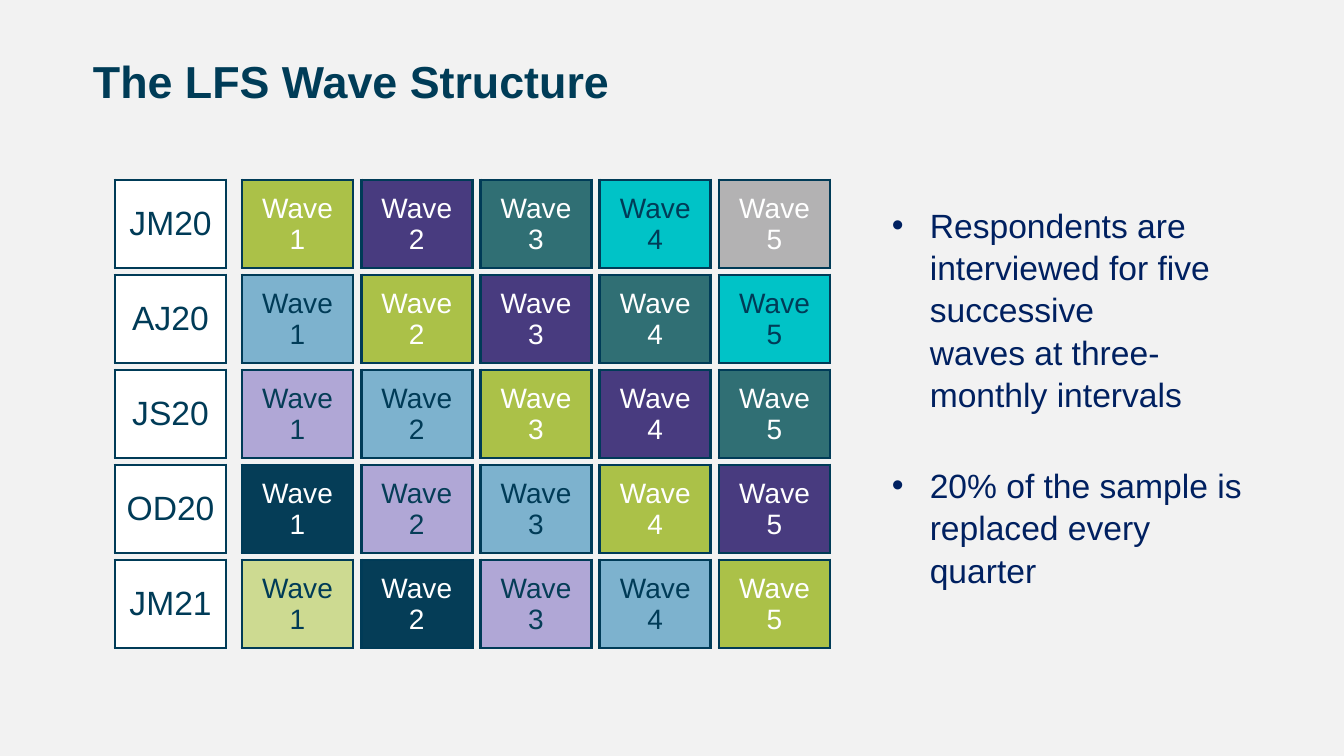
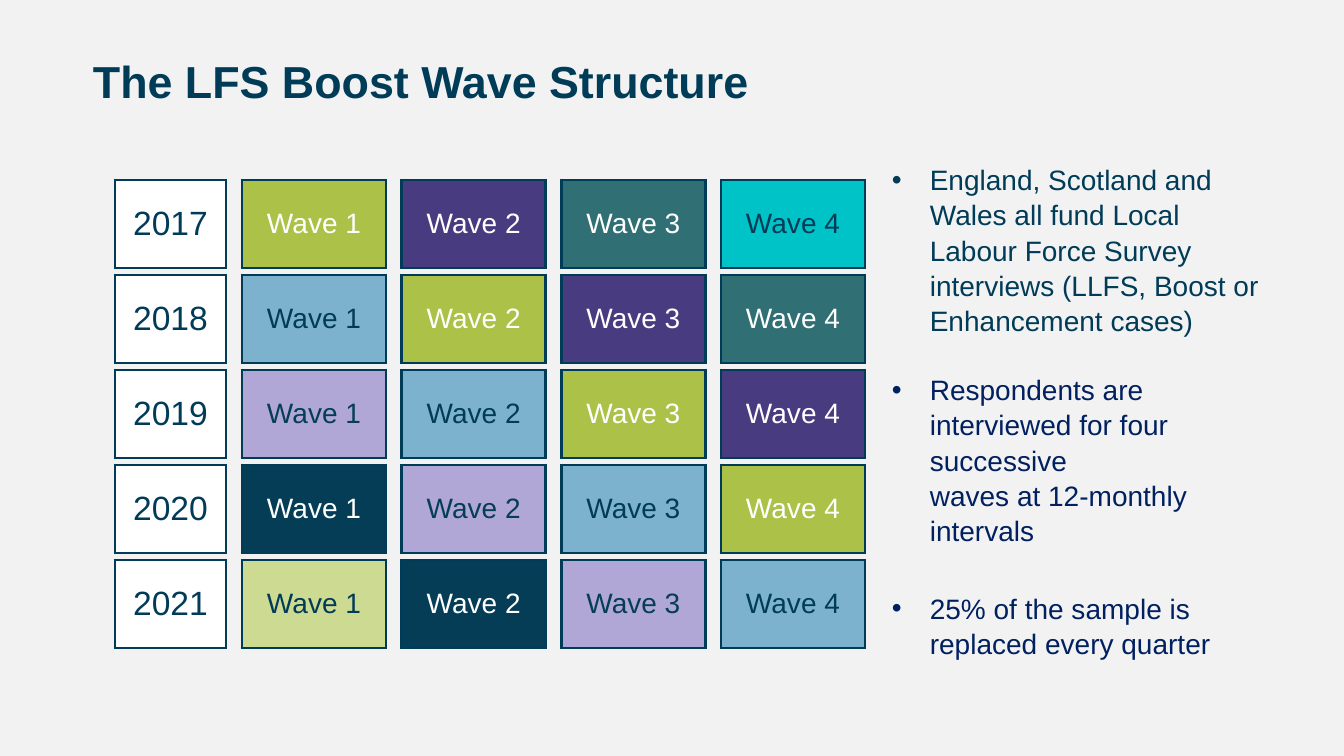
import copy

import pptx
import pptx.dml.color
import pptx.enum.text
import pptx.oxml
import pptx.oxml.ns
import pptx.util

SCALE = 12192000 / 1344  # EMU per px
FONT = "Arial"
COLORS = {
    "page": "F2F2F2",
    "title": "003C57",
    "ink": "003B57",
    "body": "002060",
    "white": "FFFFFF",
    "pale": "CDDA91",
    "navy": "053D57",
    "lilac": "B0A7D6",
    "sky": "7DB2CE",
    "lime": "ABC148",
    "purple": "483B7F",
    "teal": "306F74",
    "cyan": "00C3C7",
    "grey": "B3B2B3",
}

# Each group keeps its colour as it moves one wave on in each period, newest group first
GROUPS = ["pale", "navy", "lilac", "sky", "lime", "purple", "teal", "cyan", "grey"]
DARK_TEXT = {"pale": "ink", "lilac": "navy", "sky": "ink", "cyan": "ink"}

# Grid in px
LABEL_X, WAVE_X, TOP = 115, 242, 180
LABEL_W, TILE_H, ROW_STEP = 111, 88, 95
BODY_X, BODY_W = 892, 380

# Bullets are (text, colour, points of space before)
SLIDES = [
    {
        "title": "The LFS Wave Structure",
        "periods": ["JM20", "AJ20", "JS20", "OD20", "JM21"],
        "waves": 5, "tile_w": 111, "last_x": 719,
        "body_y": 210, "body_h": 385, "size": 24,
        "bullets": [
            ("Respondents are interviewed for five successive\vwaves at three-monthly intervals", "body", 0),
            ("20% of the sample is replaced every quarter", "body", 35),
        ],
    },
    {
        "title": "The LFS Boost Wave Structure",
        "periods": ["2017", "2018", "2019", "2020", "2021"],
        "waves": 4, "tile_w": 144, "last_x": 721,
        "body_y": 171, "body_h": 494, "size": 20,
        "bullets": [
            ("England, Scotland and Wales all fund Local Labour Force Survey interviews "
             "(LLFS, Boost or Enhancement cases)", "ink", 0),
            ("Respondents are interviewed for four successive\vwaves at 12-monthly intervals", "body", 24),
            ("25% of the sample is replaced every quarter", "body", 30),
        ],
    },
]


def write(p, text, size=20, color="ink", bold=False, align="LEFT", line=1.0, before=0):
    p.text = text
    p.alignment = getattr(pptx.enum.text.PP_ALIGN, align)
    p.line_spacing = line
    p.space_before = pptx.util.Pt(before)
    p.space_after = pptx.util.Pt(0)
    for r in p.runs:
        r.font.name = FONT
        r.font.size = pptx.util.Pt(size)
        r.font.bold = bold
        r.font.color.rgb = pptx.dml.color.RGBColor.from_string(COLORS[color])
    # Line breaks take the format of the text around them
    for br in p._p.findall(pptx.oxml.ns.qn("a:br")):
        br.append(copy.deepcopy(p.runs[0]._r.get_or_add_rPr()))


def add_tile(slide, x, y, w, text, fill, **fmt):
    box = [round(n * SCALE) for n in (x, y, w, TILE_H)]
    table = slide.shapes.add_table(1, 1, *box).table
    table.first_row = table.horz_banding = False
    cell = table.cell(0, 0)
    cell.vertical_anchor = pptx.enum.text.MSO_ANCHOR.MIDDLE
    tcPr = cell._tc.get_or_add_tcPr()
    for side in "LRTB":
        tcPr.append(pptx.oxml.parse_xml(
            f'<a:ln{side} {pptx.oxml.ns.nsdecls("a")} w="{pptx.util.Pt(2.25)}">'
            f'<a:solidFill><a:srgbClr val="{COLORS["ink"]}"/></a:solidFill></a:ln{side}>'))
    cell.fill.solid()
    cell.fill.fore_color.rgb = pptx.dml.color.RGBColor.from_string(COLORS[fill])
    write(cell.text_frame.paragraphs[0], text, align="CENTER", **fmt)


prs = pptx.Presentation()
prs.slide_width = round(1344 * SCALE)
prs.slide_height = round(756 * SCALE)
bg = prs.slide_master.background.fill
bg.solid()
bg.fore_color.rgb = pptx.dml.color.RGBColor.from_string(COLORS["page"])

for data in SLIDES:
    slide = prs.slides.add_slide(prs.slide_layouts[1])
    title, body = slide.shapes.title, slide.placeholders[1]

    # Title and body frames
    frames = [
        (title, (93, 58, 1159, 51), (0, 0, 0, 0), "TOP"),
        (body, (BODY_X, data["body_y"], BODY_W, data["body_h"]), (0, 5, 10, 5), "BOTTOM"),
    ]
    for sp, box, margins, anchor in frames:
        sp.left, sp.top, sp.width, sp.height = [round(n * SCALE) for n in box]
        tf = sp.text_frame
        tf.margin_left, tf.margin_top, tf.margin_right, tf.margin_bottom = [
            round(n * SCALE) for n in margins]
        tf.word_wrap = True
        tf.auto_size = pptx.enum.text.MSO_AUTO_SIZE.NONE
        tf.vertical_anchor = getattr(pptx.enum.text.MSO_ANCHOR, anchor)

    # Title and bullets
    write(title.text_frame.paragraphs[0], data["title"], size=32, color="title", bold=True, line=0.95)
    tf = body.text_frame
    for i, (text, color, before) in enumerate(data["bullets"]):
        p = tf.add_paragraph() if i else tf.paragraphs[0]
        write(p, text, size=data["size"], color=color, line=1.05, before=before)

    # Period labels and wave tiles
    step = (data["last_x"] - WAVE_X) / (data["waves"] - 1)
    for row, period in enumerate(data["periods"]):
        y = TOP + row * ROW_STEP
        add_tile(slide, LABEL_X, y, LABEL_W, period, "white", size=24)
        for col in range(data["waves"]):
            group = GROUPS[len(data["periods"]) - 1 - row + col]
            add_tile(slide, WAVE_X + col * step, y, data["tile_w"], f"Wave {col + 1}", group,
                     color=DARK_TEXT.get(group, "white"))

prs.save("out.pptx")
